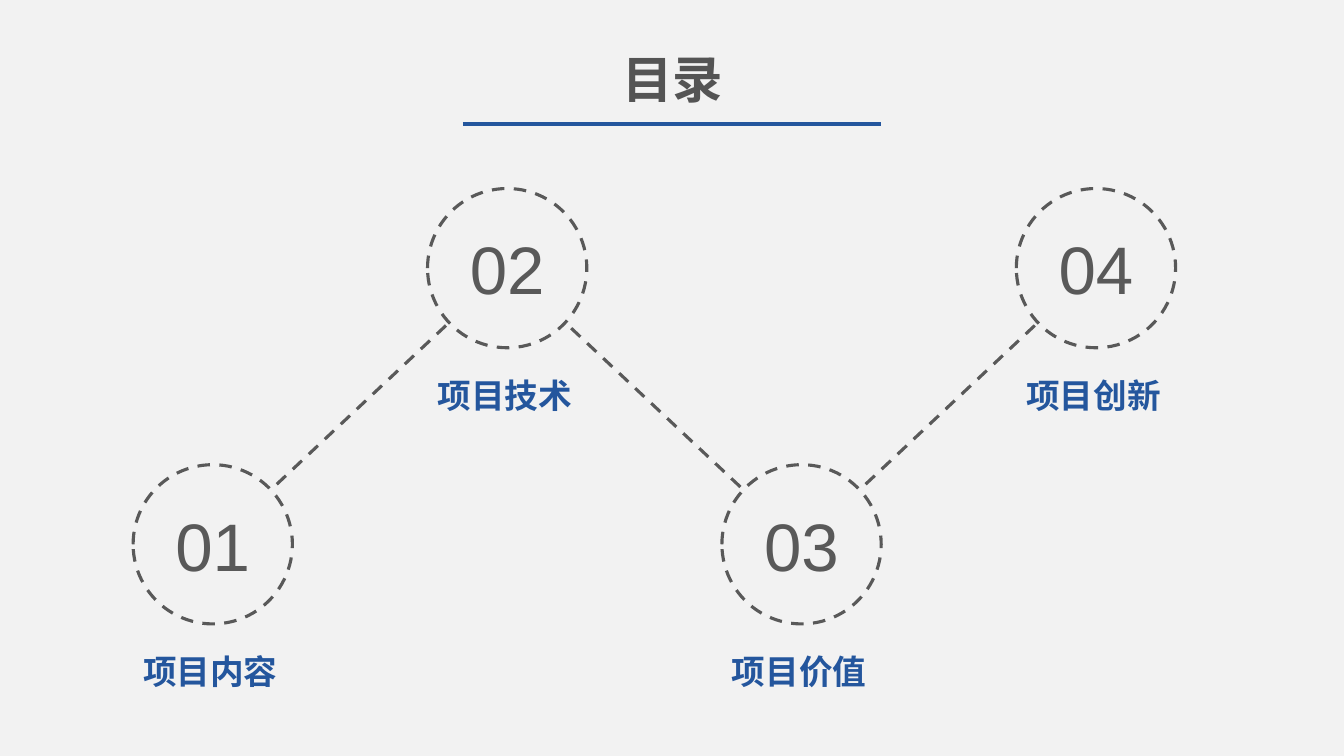
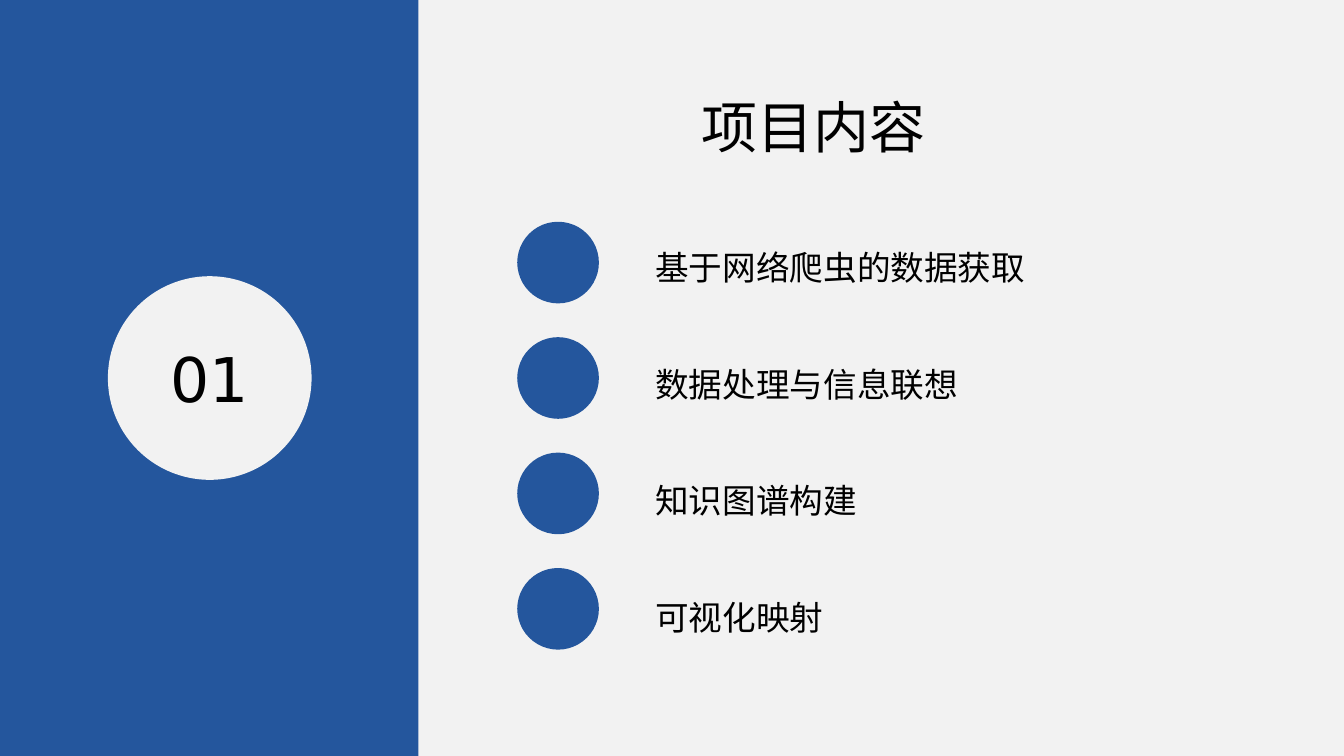
from dataclasses import dataclass

from lxml.etree import SubElement
from pptx import Presentation
from pptx.dml.color import RGBColor
from pptx.enum.dml import MSO_LINE_DASH_STYLE as Dash
from pptx.enum.shapes import MSO_CONNECTOR as Connector, MSO_SHAPE as Shape
from pptx.enum.text import MSO_ANCHOR as Anchor, MSO_AUTO_SIZE as AutoSize, PP_ALIGN as Align
from pptx.oxml.ns import qn
from pptx.util import Inches, Pt


@dataclass(frozen=True)
class Theme:
    background: RGBColor = RGBColor(0xF2, 0xF2, 0xF2)
    blue: RGBColor = RGBColor(0x24, 0x56, 0x9D)
    gray: RGBColor = RGBColor(0x59, 0x59, 0x59)
    title_gray: RGBColor = RGBColor(0x54, 0x54, 0x54)
    black: RGBColor = RGBColor(0, 0, 0)
    cjk_font: str = "Noto Sans CJK SC"
    label_font: str = "DejaVu Sans"
    number_font: str = "Arial"
    agenda_title_size: int = 36
    section_title_size: int = 40
    agenda_number_size: int = 48
    section_number_size: int = 44
    text_size: int = 24
    dash_width: float = 2.25
    rule_width: float = 3.5


THEME = Theme()

AGENDA_TITLE = "目录"
AGENDA = [("01", "项目内容"), ("02", "项目技术"), ("03", "项目价值"), ("04", "项目创新")]

SECTION_NUMBER, SECTION_TITLE = AGENDA[0]
SECTION_POINTS = ["基于网络爬虫的数据获取", "数据处理与信息联想", "知识图谱构建", "可视化映射"]

TITLE_ONLY, TITLE_AND_BODY = 5, 1


def style(paragraph, font, size, color, bold=False, align=Align.LEFT):
    paragraph.alignment = align
    paragraph.font.name = font
    paragraph.font.size = Pt(size)
    paragraph.font.color.rgb = color
    paragraph.font.bold = bold


def place(shape, left, top, width, height, wrap=False):
    """Position a text shape and anchor its text at the top."""
    shape.left, shape.top = Inches(left), Inches(top)
    shape.width, shape.height = Inches(width), Inches(height)
    frame = shape.text_frame
    frame.word_wrap = wrap
    frame.auto_size = AutoSize.NONE
    frame.vertical_anchor = Anchor.TOP
    return frame


def add_title(slide, text, box, **look):
    frame = place(slide.shapes.title, *box)
    frame.text = text
    style(frame.paragraphs[0], **look)


def add_label(slide, text, box, **look):
    frame = place(slide.shapes.add_textbox(0, 0, 0, 0), *box)
    frame.text = text
    style(frame.paragraphs[0], **look)


def add_filled(slide, kind, left, top, width, height, color):
    shape = slide.shapes.add_shape(
        kind, Inches(left), Inches(top), Inches(width), Inches(height))
    shape.shadow.inherit = False
    shape.fill.solid()
    shape.fill.fore_color.rgb = color
    shape.line.fill.background()
    return shape


def draw_outline(line, color, width, dash=None):
    line.color.rgb = color
    line.width = Pt(width)
    if dash is not None:
        line.dash_style = dash


def add_line(slide, start, end, color, width, dash=None):
    connector = slide.shapes.add_connector(
        Connector.STRAIGHT, *(Inches(value) for value in (*start, *end)))
    draw_outline(connector.line, color, width, dash)
    SubElement(connector._element.spPr, qn("a:effectLst"))


def build_agenda(presentation):
    slide = presentation.slides.add_slide(presentation.slide_layouts[TITLE_ONLY])
    add_title(slide, AGENDA_TITLE, (5.07, 0.43, 3.2, 0.7), font=THEME.cjk_font,
              size=THEME.agenda_title_size, color=THEME.title_gray, bold=True,
              align=Align.CENTER)
    add_line(slide, (4.59, 1.23), (8.74, 1.23), THEME.blue, THEME.rule_width)

    diameter, first_left, step = 1.58, 1.32, 2.92
    low, high, label_drop = 4.61, 1.87, 1.8
    corners = [(first_left + step * i, high if i % 2 else low) for i in range(len(AGENDA))]
    centers = [(left + diameter / 2, top + diameter / 2) for left, top in corners]

    for start, end in zip(centers, centers[1:]):
        add_line(slide, start, end, THEME.gray, THEME.dash_width, Dash.DASH)

    for (number, label), (left, top) in zip(AGENDA, corners):
        circle = add_filled(slide, Shape.OVAL, left, top, diameter, diameter,
                            THEME.background)
        draw_outline(circle.line, THEME.gray, THEME.dash_width, Dash.DASH)
        circle.text_frame.text = number
        circle.text_frame.vertical_anchor = Anchor.MIDDLE
        style(circle.text_frame.paragraphs[0], THEME.number_font,
              THEME.agenda_number_size, THEME.gray, align=Align.CENTER)
        add_label(slide, label, (left, top + label_drop, diameter, 0.5),
                  font=THEME.label_font, size=THEME.text_size, color=THEME.blue, bold=True)


def build_section(presentation):
    slide = presentation.slides.add_slide(presentation.slide_layouts[TITLE_AND_BODY])
    add_filled(slide, Shape.RECTANGLE, 0, 0, 4.15, 7.5, THEME.blue)
    add_filled(slide, Shape.OVAL, 1.07, 2.74, 2.02, 2.02, THEME.background)
    add_label(slide, SECTION_NUMBER, (1.59, 3.33, 0.97, 0.83), font=THEME.label_font,
              size=THEME.section_number_size, color=THEME.black)
    add_title(slide, SECTION_TITLE, (6.86, 0.87, 3.67, 0.76), font=THEME.label_font,
              size=THEME.section_title_size, color=THEME.black)

    first_top, pitch, dot, line_spacing = 2.2, 1.145, 0.81, 1.25
    line_height = THEME.text_size * 1.17 * line_spacing
    gap = Pt(pitch * 72 - line_height)
    frame = place(slide.placeholders[1], 6.4, first_top + 0.1, 6.49, 3.94, wrap=True)
    frame.text = "\n".join(SECTION_POINTS)
    for i, paragraph in enumerate(frame.paragraphs):
        add_filled(slide, Shape.OVAL, 5.13, first_top + pitch * i, dot, dot, THEME.blue)
        properties = paragraph._p.get_or_add_pPr()
        properties.set("marL", "0")
        properties.set("indent", "0")
        SubElement(properties, qn("a:buNone"))
        paragraph.line_spacing = line_spacing
        paragraph.space_before = gap if i else Pt(0)
        style(paragraph, THEME.cjk_font, THEME.text_size, THEME.black)


def main():
    presentation = Presentation()
    presentation.slide_width, presentation.slide_height = Inches(13.33), Inches(7.5)
    background = presentation.slide_master.background.fill
    background.solid()
    background.fore_color.rgb = THEME.background
    build_agenda(presentation)
    build_section(presentation)
    presentation.save("out.pptx")


if __name__ == "__main__":
    main()
